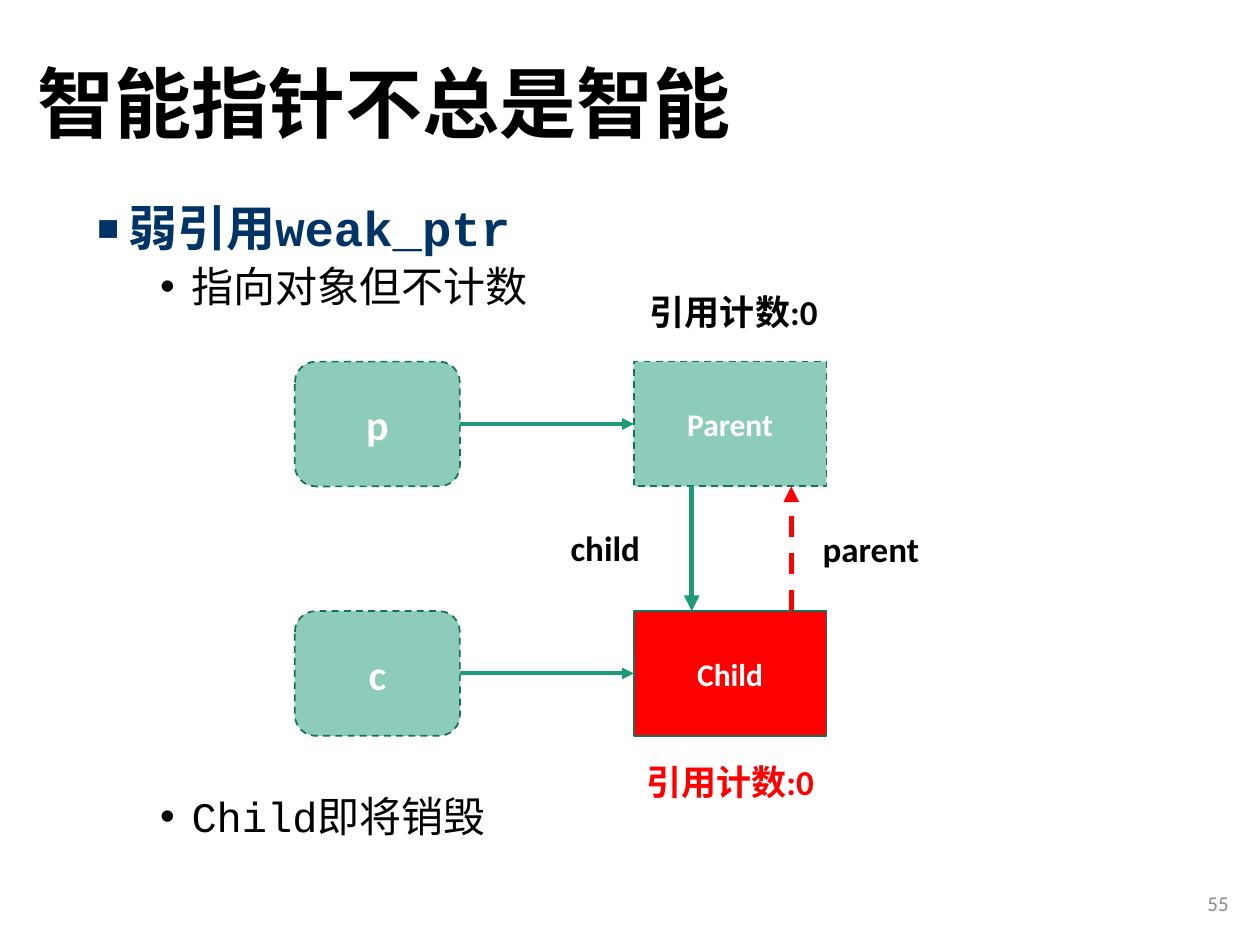
from dataclasses import dataclass

from lxml import etree
from pptx import Presentation
from pptx.dml import color
from pptx.enum import dml, shapes, text
from pptx.oxml import ns
from pptx.util import Inches, Pt


@dataclass(frozen=True)
class Theme:
    cjk: str = "Noto Sans CJK SC"
    code: str = "Courier New"
    label: str = "Calibri"
    black: str = "000000"
    white: str = "FFFFFF"
    navy: str = "003366"
    green: str = "1D9A78"
    edge: str = "157259"
    red: str = "FF0000"
    gray: str = "8C8C8C"
    title_size: int = 44
    topic_size: int = 28
    point_size: int = 24
    label_size: int = 20
    object_size: int = 18
    number_size: int = 12


THEME = Theme()


def rgb(value):
    return color.RGBColor.from_string(value)


def add_element(parent, tag, **attributes):
    return etree.SubElement(parent, ns.qn(tag), attributes)


def place(shape, left, top, width, height):
    shape.left, shape.top = Inches(left), Inches(top)
    shape.width, shape.height = Inches(width), Inches(height)


def style(paragraph, font, size, ink, bold=False, align=text.PP_ALIGN.LEFT):
    paragraph.alignment = align
    for run in paragraph.runs:
        run.font.name, run.font.size, run.font.bold = font, Pt(size), bold
        run.font.color.rgb = rgb(ink)
        east_asian = etree.Element(ns.qn("a:ea"), typeface=THEME.cjk)
        run.font._element.find(ns.qn("a:latin")).addnext(east_asian)


def set_bullet(paragraph, character, margin, percent=100):
    properties = paragraph._p.get_or_add_pPr()
    properties.set("marL", str(Inches(margin)))
    properties.set("indent", str(Inches(-0.25)))
    add_element(properties, "a:buSzPct", val=str(percent * 1000))
    add_element(properties, "a:buFont", typeface="Arial")
    add_element(properties, "a:buChar", char=character)


def add_title(slide, box, words):
    title = slide.shapes.title
    place(title, *box)
    frame = title.text_frame
    frame.text = words
    frame.auto_size = text.MSO_AUTO_SIZE.NONE
    frame.vertical_anchor = text.MSO_ANCHOR.MIDDLE
    frame.paragraphs[0].line_spacing = 0.9
    style(frame.paragraphs[0], THEME.cjk, THEME.title_size, THEME.black, True)


def add_points(slide, box, topic, points):
    """Each point is its wording and the space above it."""
    body = slide.placeholders[1]
    place(body, *box)
    frame = body.text_frame
    frame.text = topic
    frame.auto_size = text.MSO_AUTO_SIZE.NONE
    heading = frame.paragraphs[0]
    heading.line_spacing, heading.space_before = 0.9, Pt(10)
    set_bullet(heading, "■", 0.25, 75)
    style(heading, THEME.code, THEME.topic_size, THEME.navy, True)
    for words, space in points:
        point = frame.add_paragraph()
        point.text, point.level = words, 1
        point.line_spacing, point.space_before = 0.9, Pt(space)
        set_bullet(point, "•", 0.75)
        style(point, THEME.code, THEME.point_size, THEME.black)


def add_label(slide, box, words, ink=THEME.black):
    label = slide.shapes.add_textbox(*map(Inches, box))
    label.text_frame.word_wrap = True
    label.text_frame.text = words
    style(label.text_frame.paragraphs[0], THEME.label, THEME.label_size, ink, True)


def add_node(slide, kind, box, words, size, fill, faded=True):
    node = slide.shapes.add_shape(kind, *map(Inches, box))
    node.shadow.inherit = False
    node.fill.solid()
    node.fill.fore_color.rgb = rgb(fill)
    node.line.color.rgb = rgb(THEME.edge)
    node.line.width = Pt(1)
    if faded:
        node.line.dash_style = dml.MSO_LINE.DASH
        fill_color = node._element.spPr.find(ns.qn("a:solidFill"))[0]
        add_element(fill_color, "a:alpha", val="50000")
    frame = node.text_frame
    frame.text = words
    frame.vertical_anchor = text.MSO_ANCHOR.MIDDLE
    style(frame.paragraphs[0], THEME.label, size, THEME.white, True, text.PP_ALIGN.CENTER)


def add_arrow(slide, start, end, ink, width, dashed=False):
    arrow = slide.shapes.add_connector(
        shapes.MSO_CONNECTOR.STRAIGHT, *map(Inches, (*start, *end)))
    arrow.line.color.rgb = rgb(ink)
    arrow.line.width = Pt(width)
    if dashed:
        arrow.line.dash_style = dml.MSO_LINE.DASH
    add_element(arrow.line._get_or_add_ln(), "a:tailEnd", type="triangle")
    add_element(arrow._element.spPr, "a:effectLst")


def add_diagram(slide, left, top):
    """Pointers on the left refer to the objects on the right."""
    pointer_width, object_width, height = 1.31, 1.53, 0.99
    object_left = left + 2.69
    upper_edge, lower_edge = top + height, top + 2 * height
    rows = (
        (top, "p", "Parent", THEME.green, True),
        (lower_edge, "c", "Child", THEME.red, False),
    )
    for row_top, pointer, target, fill, faded in rows:
        add_node(slide, shapes.MSO_SHAPE.ROUNDED_RECTANGLE,
                 (left, row_top, pointer_width, height),
                 pointer, THEME.point_size, THEME.green)
        add_node(slide, shapes.MSO_SHAPE.RECTANGLE,
                 (object_left, row_top, object_width, height),
                 target, THEME.object_size, fill, faded)
        middle = row_top + height / 2
        add_arrow(slide, (left + pointer_width, middle), (object_left, middle),
                  THEME.green, 2.25)

    # Links between the two objects
    child_x, parent_x = object_left + 0.46, object_left + 1.25
    add_arrow(slide, (child_x, upper_edge), (child_x, lower_edge), THEME.green, 3)
    add_arrow(slide, (parent_x, lower_edge), (parent_x, upper_edge), THEME.red, 3, True)
    add_label(slide, (object_left - 0.6, top + 1.26, 0.76, 0.45), "child")
    add_label(slide, (object_left + 1.4, top + 1.27, 1.16, 0.44), "parent")

    # Reference counts
    count = "引用计数:0"
    add_label(slide, (object_left, top + 3.12, 1.54, 0.44), count, THEME.red)
    add_label(slide, (object_left + 0.03, top - 0.61, 1.54, 0.44), count)


def add_slide_number(slide, box, number):
    frame = slide.shapes.add_textbox(*map(Inches, box)).text_frame
    frame.word_wrap = True
    frame.text = number
    frame.vertical_anchor = text.MSO_ANCHOR.MIDDLE
    style(frame.paragraphs[0], THEME.label, THEME.number_size, THEME.gray,
          align=text.PP_ALIGN.RIGHT)


presentation = Presentation()
presentation.slide_width, presentation.slide_height = Inches(10), Inches(7.5)
slide = presentation.slides.add_slide(presentation.slide_layouts[1])
add_title(slide, (0.2, 0.13, 8.62, 1.45), "智能指针不总是智能")
add_points(slide, (0.67, 1.57, 8.8, 5.19), "弱引用weak_ptr",
           (("指向对象但不计数", 5), ("Child即将销毁", 277)))
add_diagram(slide, 2.34, 2.87)
add_slide_number(slide, (7.6, 6.97, 2.25, 0.4), "55")
presentation.save("out.pptx")
